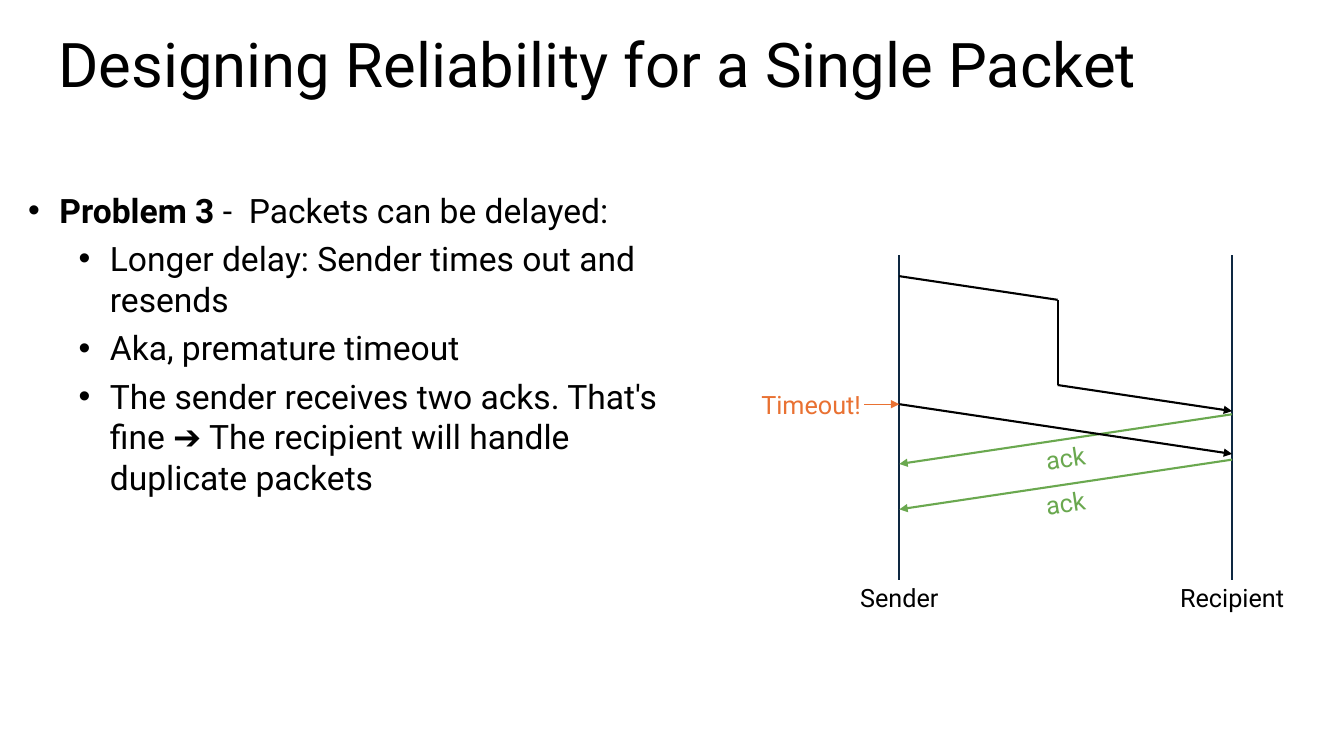
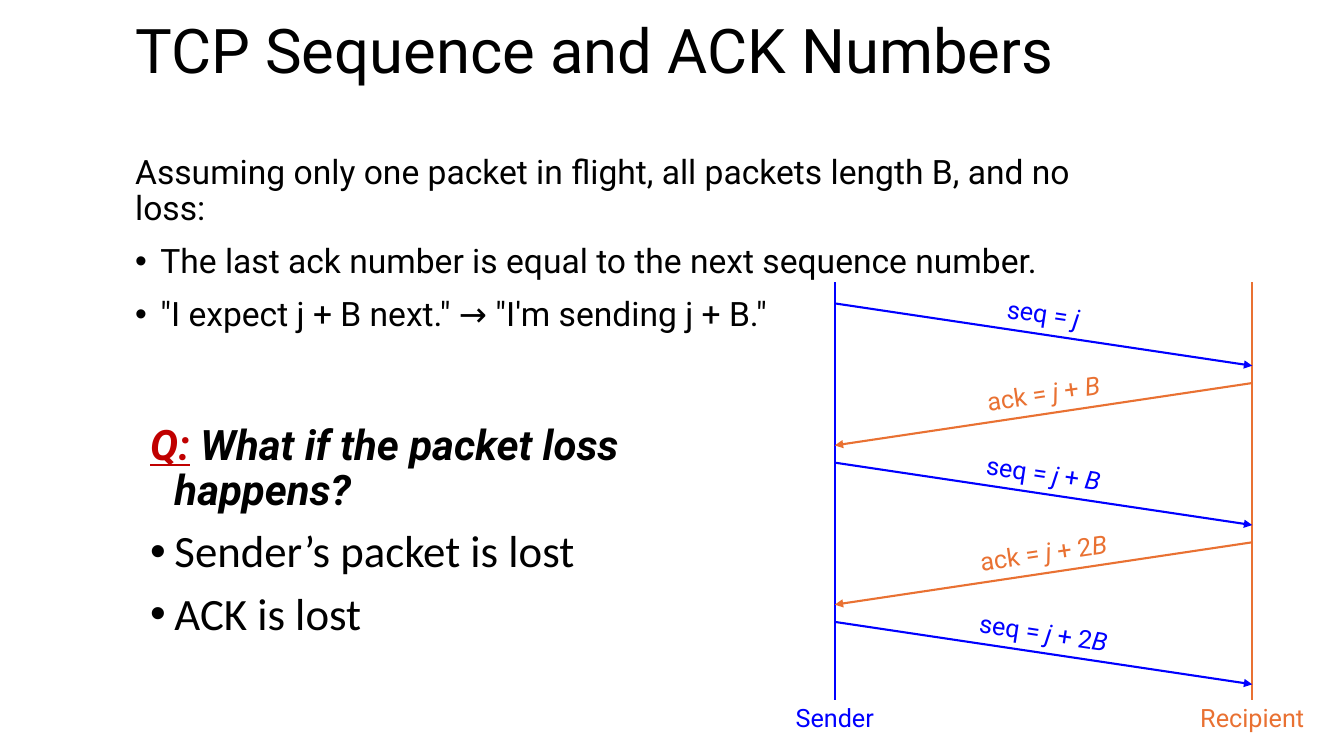
from collections import namedtuple
from math import radians, tan

from lxml.etree import SubElement
from pptx import Presentation
from pptx.dml.color import RGBColor
from pptx.enum.shapes import MSO_CONNECTOR
from pptx.enum.text import MSO_ANCHOR, MSO_AUTO_SIZE, PP_ALIGN
from pptx.oxml.ns import qn
from pptx.util import Inches, Pt

Box = namedtuple("Box", "left top width height")

COLORS = {
    "text": "000000",
    "lifeline": "0E2841",
    "ack": "6AA84F",
    "orange": "E97132",
    "blue": "0000FF",
    "red": "C00000",
}
TITLE = {"name": "Roboto", "size": Pt(44)}
BODY = {"name": "Roboto", "size": Pt(24)}
LABEL = {"name": "Roboto", "size": Pt(18)}
QUESTION = {"name": "Roboto", "size": Pt(30), "bold": True, "italic": True}
ANSWER = {"name": "Calibri", "size": Pt(32)}
BOLD = {"bold": True}
ITALIC = {"italic": True}
SLOPE = 8.5
LABEL_HEIGHT = 0.38


def set_all(target, values):
    for key, value in values.items():
        setattr(target, key, value)


def rgb(color):
    return RGBColor.from_string(COLORS[color])


def add_runs(paragraph, runs, base, color="text"):
    for text, extra in runs:
        run = paragraph.add_run()
        run.text = text
        run.font.color.rgb = rgb(color)
        set_all(run.font, {**base, **extra})


def fit_frame(shape, box, inset_x, inset_y):
    set_all(shape, {side: Inches(value) for side, value in box._asdict().items()})
    set_all(shape.text_frame, {
        "margin_left": Inches(inset_x),
        "margin_right": Inches(inset_x),
        "margin_top": Inches(inset_y),
        "margin_bottom": Inches(inset_y),
        "word_wrap": True,
        "auto_size": MSO_AUTO_SIZE.NONE,
        "vertical_anchor": MSO_ANCHOR.TOP,
    })
    return shape.text_frame


def fill_title(slide, text, box, inset):
    paragraph = fit_frame(slide.shapes.title, box, inset, inset).paragraphs[0]
    set_all(paragraph, {"alignment": PP_ALIGN.LEFT, "line_spacing": 0.9})
    add_runs(paragraph, [(text, {})], TITLE)


def next_paragraph(frame, index):
    return frame.add_paragraph() if index else frame.paragraphs[0]


def format_item(paragraph, spacing, left, hanging, bullet):
    set_all(paragraph, {"alignment": PP_ALIGN.LEFT, **spacing})
    properties = paragraph._p.get_or_add_pPr()
    properties.set("marL", str(Inches(left)))
    properties.set("indent", str(-Inches(hanging)))
    if bullet:
        SubElement(properties, qn("a:buFont"), typeface="Arial")
        SubElement(properties, qn("a:buChar"), char="•")
    else:
        SubElement(properties, qn("a:buNone"))


def add_line(slide, start, end, color, width=1.5, arrow=False):
    line = slide.shapes.add_connector(
        MSO_CONNECTOR.STRAIGHT, *(Inches(value) for value in (*start, *end)))
    line.line.color.rgb = rgb(color)
    line.line.width = Pt(width)
    if arrow:
        SubElement(line.line._get_or_add_ln(), qn("a:tailEnd"), type="triangle")
    SubElement(line._element.spPr, qn("a:effectLst"))
    return line


def add_label(slide, box, runs, color, align=PP_ALIGN.CENTER, rotation=0):
    label = slide.shapes.add_textbox(*(Inches(value) for value in box))
    paragraph = fit_frame(label, box, 0.03, 0.03).paragraphs[0]
    paragraph.alignment = align
    add_runs(paragraph, runs, LABEL, color)
    label.rotation = rotation
    return label


def drop(width):
    return width * tan(radians(SLOPE))


def add_lifelines(slide, box, ends):
    for x, (name, line_color, text_color) in zip((box.left, box.left + box.width), ends):
        bottom = box.top + box.height
        label = add_label(slide, Box(x - 0.75, bottom, 1.5, LABEL_HEIGHT),
                          [(name, {})], text_color)
        lifeline = add_line(slide, (x, box.top), (x, bottom), line_color)
        lifeline.end_connect(label, 0)


def add_message(slide, box, offset, color, runs=(), reply=False, label_shift=-0.2):
    sides = (box.left, box.left + box.width)
    start, end = reversed(sides) if reply else sides
    fall = drop(box.width)
    top = box.top + offset
    add_line(slide, (start, top), (end, top + fall), color, arrow=True)
    if runs:
        middle = top + fall / 2 + label_shift
        add_label(slide, Box(sum(sides) / 2 - 0.8, middle - LABEL_HEIGHT / 2, 1.6, LABEL_HEIGHT),
                  runs, color, rotation=-SLOPE if reply else SLOPE)


def draw_delayed_packet(slide, box):
    add_lifelines(slide, box, [("Sender", "lifeline", "text"), ("Recipient", "lifeline", "text")])

    sent, stall, resumed = box.top + 0.21, box.left + 1.57, box.top + 1.29
    right = box.left + box.width
    stalled = sent + drop(stall - box.left)
    add_line(slide, (box.left, sent), (stall, stalled), "text")
    add_line(slide, (stall, stalled), (stall, resumed), "text")
    add_line(slide, (stall, resumed), (right, resumed + drop(right - stall)), "text", arrow=True)

    timeout = 1.48
    for offset in (1.58, 2.03):
        add_message(slide, box, offset, "ack", [("ack", {})], reply=True, label_shift=0.19)
    add_message(slide, box, timeout, "text")

    y = box.top + timeout
    label = add_label(slide, Box(box.left - 1.58, y - 0.18, 1.23, 0.36),
                      [("Timeout!", {})], "orange", PP_ALIGN.RIGHT)
    pointer = add_line(slide, (box.left - 0.35, y), (box.left, y), "orange", 0.75, arrow=True)
    pointer.begin_connect(label, 3)


def draw_exchange(slide, box):
    add_lifelines(slide, box, [("Sender", "blue", "blue"), ("Recipient", "orange", "orange")])
    messages = [
        [("seq = ", {}), ("j", ITALIC)],
        [("ack = ", {}), ("j ", ITALIC), ("+ ", {}), ("B", ITALIC)],
        [("seq = ", {}), ("j", ITALIC), (" + ", {}), ("B", ITALIC)],
        [("ack = ", {}), ("j ", ITALIC), ("+ 2", {}), ("B", ITALIC)],
        [("seq = ", {}), ("j", ITALIC), (" + 2", {}), ("B", ITALIC)],
    ]
    for index, runs in enumerate(messages):
        reply = index % 2 == 1
        add_message(slide, box, 0.21 + 0.79 * index, "orange" if reply else "blue", runs, reply)


def fill_problem(shape, box):
    frame = fit_frame(shape, box, 0.1, 0.05)
    spacing = {"line_spacing": 1.0, "space_before": Pt(0), "space_after": Pt(6)}
    items = [
        (0, [("Problem 3 ", BOLD), ("-  Packets can be delayed:", {})]),
        (1, [("Longer delay: Sender times out and resends", {})]),
        (1, [("Aka, premature timeout", {})]),
        (1, [("The sender receives two acks. That's fine ➔ The recipient will handle "
              "duplicate packets", {})]),
    ]
    for index, (level, runs) in enumerate(items):
        paragraph = next_paragraph(frame, index)
        paragraph.level = level
        format_item(paragraph, spacing, 0.31 + 0.5 * level, 0.31, True)
        add_runs(paragraph, runs, BODY)


def fill_assumptions(shape, box):
    frame = fit_frame(shape, box, 0.1, 0.1)
    spacing = {"line_spacing": 0.9, "space_before": Pt(6), "space_after": Pt(6)}
    items = [
        "Assuming only one packet in flight, all packets length B, and no loss:",
        "The last ack number is equal to the next sequence number.",
        '"I expect j + B next." → "I\'m sending j + B."',
    ]
    for index, text in enumerate(items):
        paragraph = next_paragraph(frame, index)
        indent = 0.25 if index else 0
        format_item(paragraph, spacing, indent, indent, index > 0)
        add_runs(paragraph, [(text, {})], BODY)


def fill_question(shape, box):
    frame = fit_frame(shape, box, 0.1, 0.05)
    spacing = {"line_spacing": 0.9, "space_before": Pt(10), "space_after": Pt(0)}
    question = frame.paragraphs[0]
    format_item(question, spacing, 0.39, 0.24, False)
    add_runs(question, [("Q:", {"underline": True})], QUESTION, "red")
    add_runs(question, [(" What if the packet loss happens?", {})], QUESTION)
    for text in ("Sender’s packet is lost", "ACK is lost"):
        answer = frame.add_paragraph()
        format_item(answer, spacing, 0.39, 0.24, True)
        add_runs(answer, [(text, {})], ANSWER)


def build_reliability(deck):
    slide = deck.slides.add_slide(deck.slide_layouts.get_by_name("Title and Content"))
    fill_title(slide, "Designing Reliability for a Single Packet",
               Box(0.45, 0.21, 12.42, 1.22), 0.13)
    fill_problem(slide.placeholders[1], Box(0.18, 1.83, 6.63, 4.16))
    draw_delayed_packet(slide, Box(8.92, 2.53, 3.3, 3.22))


def build_sequence(deck):
    slide = deck.slides.add_slide(deck.slide_layouts.get_by_name("Two Content"))
    fill_title(slide, "TCP Sequence and ACK Numbers", Box(1.24, 0.1, 10.85, 0.81), 0.1)
    fill_assumptions(slide.placeholders[1], Box(1.24, 1.44, 10.21, 1.79))
    fill_question(slide.placeholders[2], Box(1.24, 4.16, 5.45, 2.34))
    draw_exchange(slide, Box(8.28, 2.8, 4.14, 4.14))


def main():
    deck = Presentation()
    set_all(deck, {"slide_width": Inches(13.33), "slide_height": Inches(7.5)})
    build_reliability(deck)
    build_sequence(deck)
    deck.save("out.pptx")


if __name__ == "__main__":
    main()
